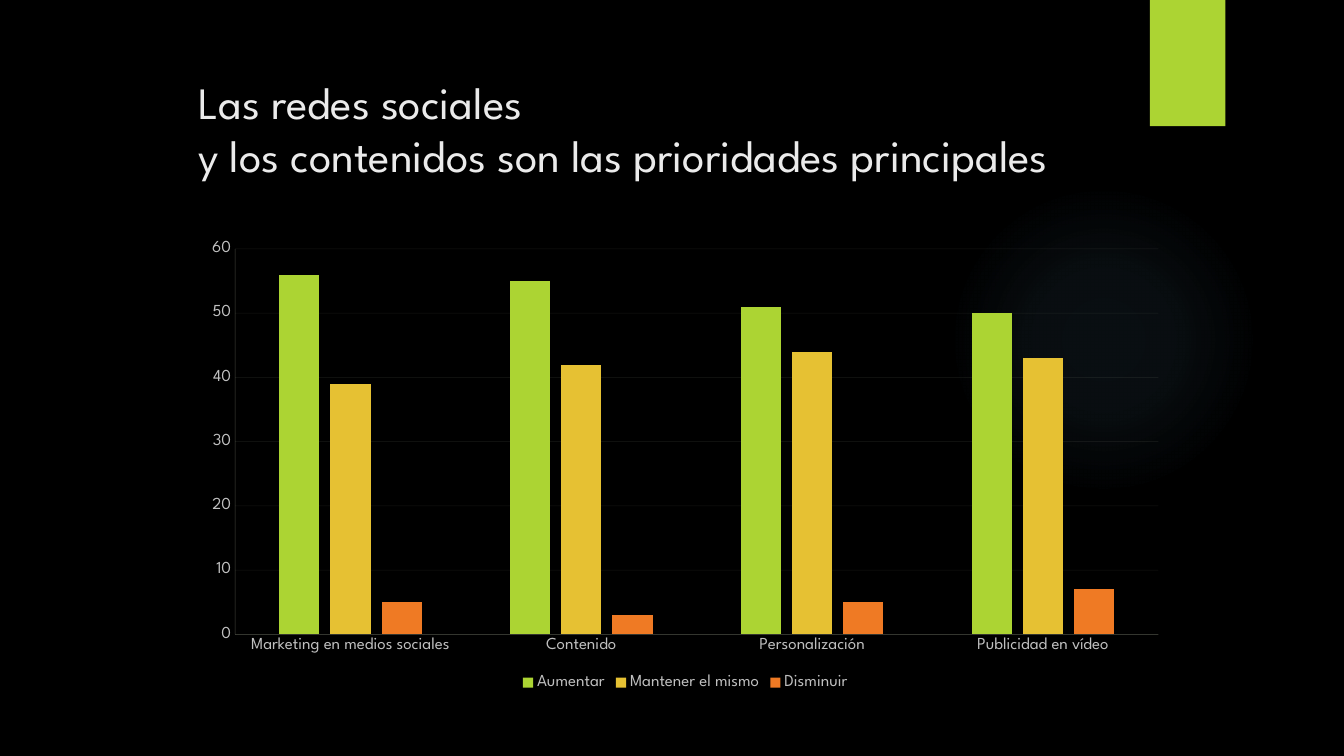
from dataclasses import dataclass

from lxml import etree
from pptx import Presentation
from pptx.chart.data import CategoryChartData
from pptx.dml.color import RGBColor
from pptx.enum.chart import XL_CHART_TYPE, XL_LEGEND_POSITION, XL_TICK_MARK
from pptx.enum.shapes import MSO_SHAPE
from pptx.enum.text import MSO_ANCHOR
from pptx.oxml import parse_xml
from pptx.oxml.ns import nsdecls, qn
from pptx.util import Cm, Pt

COLUMN = XL_CHART_TYPE.COLUMN_CLUSTERED
BOTTOM = XL_LEGEND_POSITION.BOTTOM
NO_TICK = XL_TICK_MARK.NONE
RECT = MSO_SHAPE.RECTANGLE
OVAL = MSO_SHAPE.OVAL
TOP = MSO_ANCHOR.TOP


@dataclass(frozen=True)
class Theme:
    font: str = "League Spartan"
    back: str = "000000"
    title: str = "EBEBEB"
    label: str = "BFBFBF"
    rule: str = "EEF6D6"
    glow: str = "7AC4F0"
    lime: str = "ACD433"
    gold: str = "E6C133"
    orange: str = "EF7A24"
    title_size: int = 32
    label_size: int = 12
    rule_size: float = 0.25


class Deck:
    def __init__(self, theme):
        self.theme = theme
        self.file = Presentation()
        self.file.slide_width = Cm(33.87)
        self.file.slide_height = Cm(19.05)
        self.slide = self.file.slides.add_slide(self.file.slide_layouts[6])
        self.paint(self.slide.background.fill, theme.back)

    def paint(self, fill, color):
        fill.solid()
        fill.fore_color.rgb = RGBColor.from_string(color)

    def style(self, font, size, color):
        font.name = self.theme.font
        font.size = Pt(size)
        font.color.rgb = RGBColor.from_string(color)

    def shape(self, kind, box, color):
        shape = self.slide.shapes.add_shape(kind, *map(Cm, box))
        shape.shadow.inherit = False
        shape.line.fill.background()
        self.paint(shape.fill, color)
        return shape

    def glow(self, box, color, stops):
        shape = self.shape(OVAL, box, color)
        marks = "".join(
            f'<a:gs pos="{place * 1000}"><a:srgbClr val="{color}">'
            f'<a:alpha val="{alpha * 1000}"/></a:srgbClr></a:gs>'
            for place, alpha in stops
        )
        grad = parse_xml(
            f'<a:gradFill {nsdecls("a")} rotWithShape="1"><a:gsLst>{marks}</a:gsLst>'
            '<a:path path="circle"><a:fillToRect l="50000" t="50000" r="50000" b="50000"/>'
            "</a:path></a:gradFill>"
        )
        solid = shape.element.spPr.find(qn("a:solidFill"))
        solid.getparent().replace(solid, grad)

    def title(self, box, lines):
        frame = self.slide.shapes.add_textbox(*map(Cm, box)).text_frame
        frame.word_wrap = True
        frame.vertical_anchor = TOP
        para = frame.paragraphs[0]
        for index, line in enumerate(lines):
            if index:
                para.add_line_break()
            run = para.add_run()
            run.text = line
            self.style(run.font, self.theme.title_size, self.theme.title)

    def rule(self, line):
        line.color.rgb = RGBColor.from_string(self.theme.rule)
        line.width = Pt(self.theme.rule_size)

    def fade(self, chart, route, alpha):
        for color in chart.element.xpath(f"//{route}/c:spPr//a:srgbClr"):
            etree.SubElement(color, qn("a:alpha")).set("val", str(alpha * 1000))

    def chart(self, box, groups, series):
        theme = self.theme
        data = CategoryChartData()
        data.categories = groups
        for name, values, color in series:
            data.add_series(name, values)
        chart = self.slide.shapes.add_chart(COLUMN, *map(Cm, box), data).chart
        self.style(chart.font, theme.label_size, theme.label)
        chart.has_title = False
        chart.has_legend = True
        chart.legend.position = BOTTOM
        chart.legend.include_in_layout = False
        self.style(chart.legend.font, theme.label_size, theme.label)

        plot = chart.plots[0]
        plot.gap_width = 219
        plot.overlap = -27
        plot.vary_by_categories = False
        for bars, (name, values, color) in zip(plot.series, series):
            self.paint(bars.format.fill, color)
            bars.invert_if_negative = False

        for axis in (chart.category_axis, chart.value_axis):
            axis.major_tick_mark = axis.minor_tick_mark = NO_TICK
            self.style(axis.tick_labels.font, theme.label_size, theme.label)
            self.rule(axis.format.line)
        scale = chart.value_axis
        scale.minimum_scale = 0
        scale.maximum_scale = 60
        scale.major_unit = 10
        self.rule(scale.major_gridlines.format.line)
        self.fade(chart, "c:catAx", 25)
        self.fade(chart, "c:valAx", 30)
        self.fade(chart, "c:majorGridlines", 10)


def main():
    theme = Theme()
    deck = Deck(theme)
    deck.glow((23.9, 4.65, 7.82, 7.82), theme.glow, [(0, 7), (36, 6), (69, 0)])
    deck.shape(RECT, (28.98, 0, 1.9, 3.18), theme.lime)
    deck.title(
        (4.75, 1.75, 26.14, 3.89),
        ["Las redes sociales", "y los contenidos son las prioridades principales"],
    )
    deck.chart(
        (4.85, 5.84, 24.84, 11.66),
        ["Marketing en medios sociales", "Contenido", "Personalización", "Publicidad en vídeo"],
        [
            ("Aumentar", (56, 55, 51, 50), theme.lime),
            ("Mantener el mismo", (39, 42, 44, 43), theme.gold),
            ("Disminuir", (5, 3, 5, 7), theme.orange),
        ],
    )
    deck.file.save("out.pptx")


if __name__ == "__main__":
    main()
